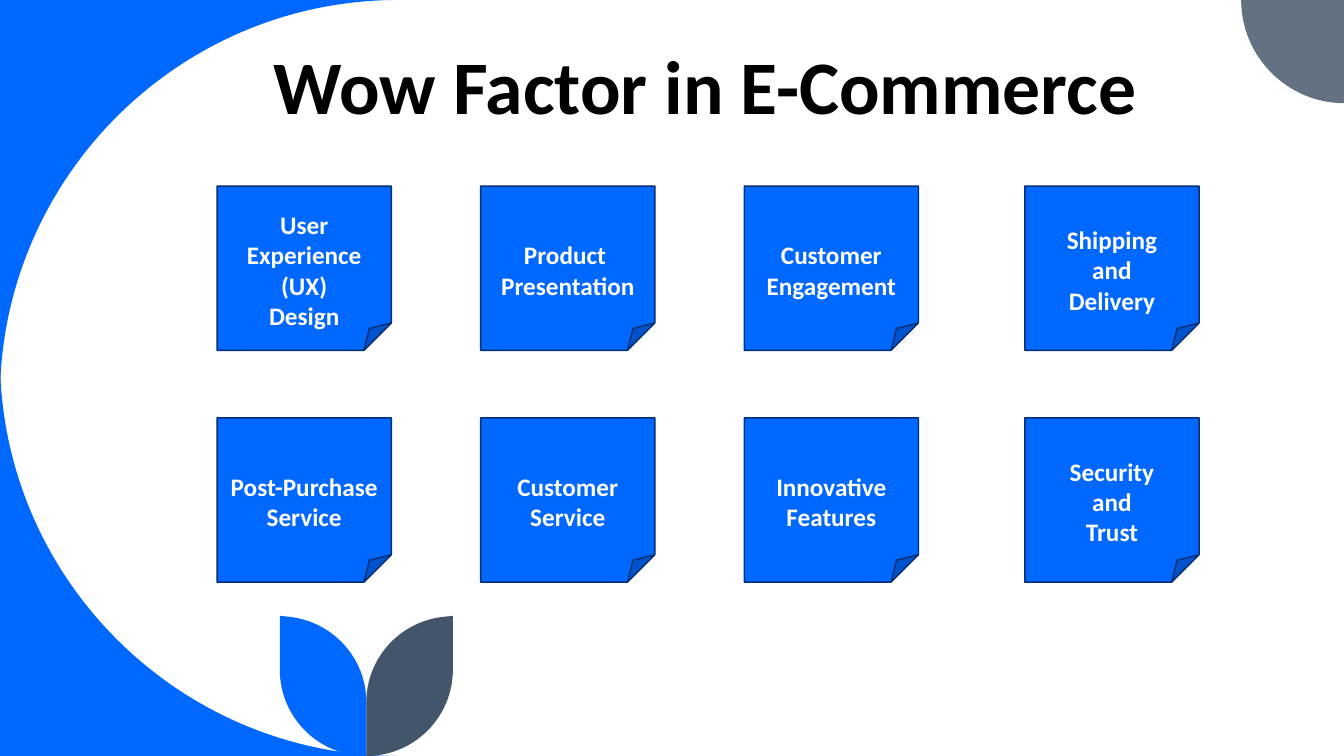
from dataclasses import dataclass
from itertools import product

from pptx import Presentation
from pptx import util as u
from pptx.dml.color import RGBColor
from pptx.enum import shapes, text
from pptx.oxml import xmlchemy
from pptx.oxml.ns import qn


@dataclass(frozen=True)
class Theme:
    font: str = "Calibri"
    blue: str = "0068FF"
    navy: str = "002E70"
    slate: str = "44546A"
    grey: str = "637183"
    black: str = "000000"
    white: str = "FFFFFF"
    title_size: float = 54
    note_size: float = 18


@dataclass(frozen=True)
class Outline:
    """Start point and segments in cm: (x, y) is a line, six numbers are a cubic curve."""
    color: str
    start: tuple
    segments: tuple


THEME = Theme()
WIDTH, HEIGHT = 33.86, 19.05
UNITS_PER_CM = 100

ARCH = Outline(THEME.blue, (0, 0), ((10.03, 0), (4.5, 0, 0, 4.5, 0, 10.03)))
CORNER = Outline(THEME.grey, (WIDTH, 0),
                 ((31.27, 0), (31.27, 1.43, 32.44, 2.6, WIDTH, 2.6)))
LEAF = Outline(THEME.blue, (7.05, 15.52),
               ((7.05, 16.87), (7.05, 18.08, 8.03, HEIGHT, 9.23, HEIGHT),
                (9.23, 17.7), (9.23, 16.58, 8.38, 15.65, 7.26, 15.54)))

NOTE_COLUMNS = (5.47, 12.11, 18.75, 25.82)
NOTE_ROWS = (4.69, 10.53)
NOTE_WIDTH, NOTE_HEIGHT = 4.39, 4.14
NOTES = (
    ("User", "Experience", "(UX)", "Design"),
    ("Product ", "Presentation"),
    ("Customer", "Engagement"),
    ("Shipping", "and", "Delivery"),
    ("Post-Purchase", "Service"),
    ("Customer", "Service"),
    ("Innovative", "Features"),
    ("Security", "and", "Trust"),
)


def rgb(color: str) -> RGBColor:
    return RGBColor.from_string(color)


def mirror(outline: Outline, color: str, x_axis: float = None,
           y_axis: float = None) -> Outline:
    """Reflect an outline in a vertical line, a horizontal line, or both."""
    def flip(values: tuple) -> tuple:
        axes = (x_axis, y_axis)
        return tuple(v if axes[i % 2] is None else 2 * axes[i % 2] - v
                     for i, v in enumerate(values))
    return Outline(color, flip(outline.start), tuple(map(flip, outline.segments)))


def bend_curves(sp, segments: tuple) -> None:
    """Join the three straight steps that stand for each curve into one cubic curve."""
    steps = iter(list(sp._element.iter(qn("a:lnTo"))))
    for segment in segments:
        group = [next(steps) for _ in range(len(segment) // 2)]
        if len(group) == 3:
            curve = xmlchemy.OxmlElement("a:cubicBezTo")
            group[0].addprevious(curve)
            for step in group:
                curve.append(step[0])
                step.getparent().remove(step)


def draw_outline(s, outline: Outline) -> None:
    def units(values: tuple) -> list:
        return [round(v * UNITS_PER_CM) for v in values]

    builder = s.shapes.build_freeform(*units(outline.start),
                                      scale=u.Cm(1) / UNITS_PER_CM)
    points = []
    for segment in map(units, outline.segments):
        points += zip(segment[::2], segment[1::2])
    builder.add_line_segments(points, close=True)
    sp = builder.convert_to_shape()
    bend_curves(sp, outline.segments)
    sp.shadow.inherit = False
    sp.fill.solid()
    sp.fill.fore_color.rgb = rgb(outline.color)
    sp.line.fill.background()


def write(sp, lines: tuple, *, size: float, color: str, spacing: float = 1.0) -> None:
    """Fill a shape with bold centred paragraphs."""
    tf = sp.text_frame
    tf.word_wrap = True
    tf.vertical_anchor = text.MSO_ANCHOR.MIDDLE
    for i, line in enumerate(lines):
        p = tf.add_paragraph() if i else tf.paragraphs[0]
        p.alignment = text.PP_ALIGN.CENTER
        p.line_spacing = spacing
        r = p.add_run()
        r.text = line
        r.font.name = THEME.font
        r.font.size = u.Pt(size)
        r.font.bold = True
        r.font.color.rgb = rgb(color)


def draw_note(s, left: float, top: float, lines: tuple) -> None:
    sp = s.shapes.add_shape(shapes.MSO_SHAPE.FOLDED_CORNER, u.Cm(left), u.Cm(top),
                            u.Cm(NOTE_WIDTH), u.Cm(NOTE_HEIGHT))
    sp.shadow.inherit = False
    sp.fill.solid()
    sp.fill.fore_color.rgb = rgb(THEME.blue)
    sp.line.color.rgb = rgb(THEME.navy)
    sp.line.width = u.Pt(1)
    sp.text_frame.margin_top = u.Cm(0.9)
    write(sp, lines, size=THEME.note_size, color=THEME.white)


def main() -> None:
    prs = Presentation()
    prs.slide_width, prs.slide_height = u.Cm(WIDTH), u.Cm(HEIGHT)
    s = prs.slides.add_slide(prs.slide_layouts[6])

    for outline in (ARCH, mirror(ARCH, THEME.blue, y_axis=HEIGHT / 2), CORNER,
                    LEAF, mirror(LEAF, THEME.slate, x_axis=9.23)):
        draw_outline(s, outline)

    title = s.shapes.add_textbox(u.Cm(4.37), u.Cm(0.84), u.Cm(26.8), u.Cm(3))
    write(title, ("Wow Factor in E-Commerce",), size=THEME.title_size,
          color=THEME.black, spacing=0.8)

    for (top, left), lines in zip(product(NOTE_ROWS, NOTE_COLUMNS), NOTES):
        draw_note(s, left, top, lines)

    prs.save("out.pptx")


if __name__ == "__main__":
    main()
